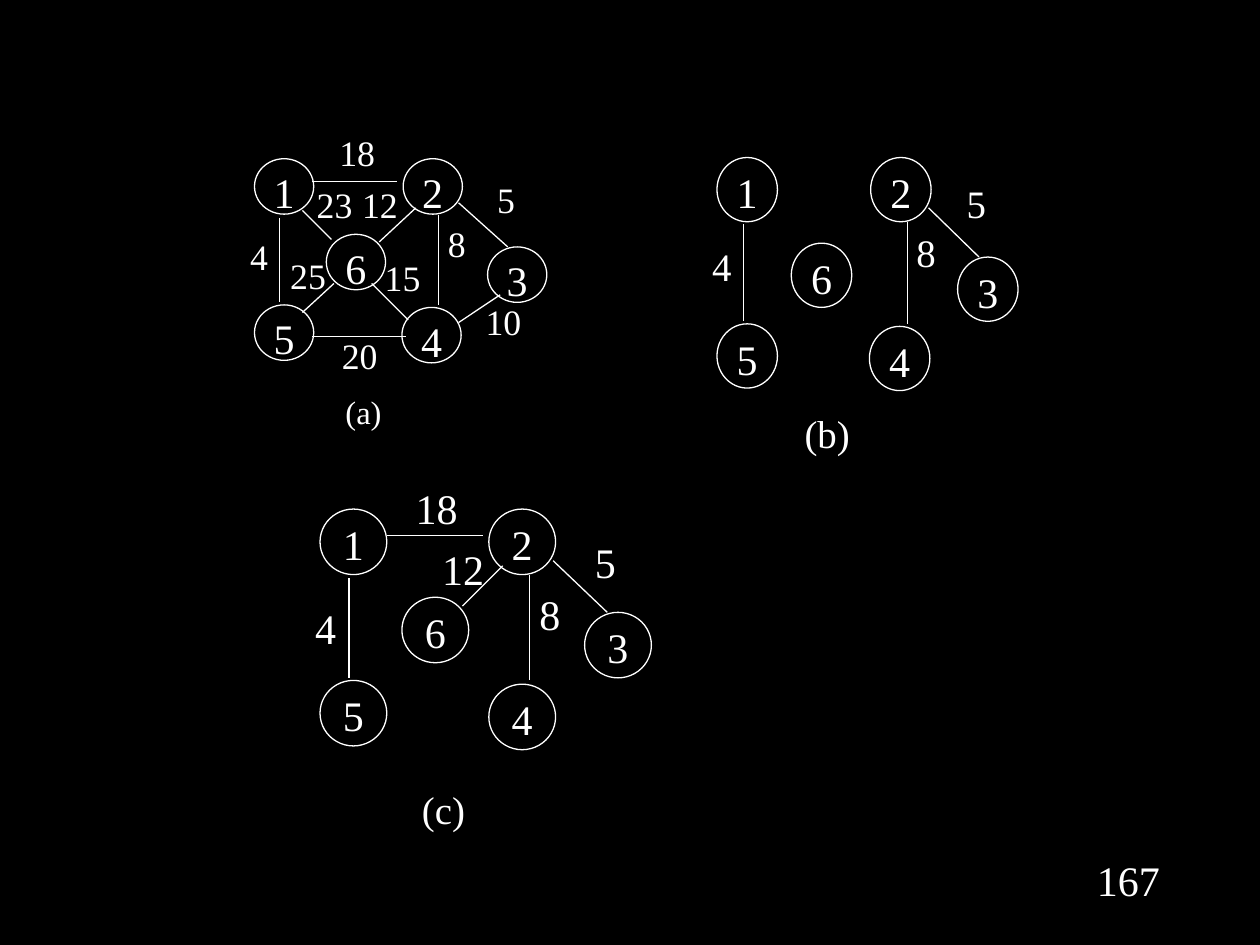
"""Build a slide with a weighted graph and two stages of its spanning tree."""
from lxml.etree import SubElement
from pptx import Presentation
from pptx.dml.color import RGBColor
from pptx.enum.shapes import MSO_CONNECTOR as Connector, MSO_SHAPE as Shape
from pptx.enum.text import MSO_ANCHOR as Anchor, PP_ALIGN as Align
from pptx.oxml.ns import qn
from pptx.util import Inches, Pt

WHITE, BLACK = "FFFFFF", "000000"
FONT = "Times New Roman"
NODE_SIZE = 24

GRAPHS = [
    {
        "node_box": (0.47, 0.44),
        "nodes": {"1": (2.02, 1.26), "2": (3.2, 1.26), "5": (2.02, 2.42),
                  "6": (2.59, 1.86), "4": (3.19, 2.44), "3": (3.87, 1.96)},
        "edges": [(2.48, 1.44, 3.15, 1.44), (2.48, 2.67, 3.22, 2.67),
                  (3.48, 1.71, 3.48, 2.42), (3.64, 1.61, 4.03, 1.96),
                  (3.64, 2.56, 3.97, 2.34), (2.22, 1.73, 2.22, 2.4),
                  (2.4, 1.67, 2.63, 1.9), (2.95, 2.25, 3.24, 2.54),
                  (2.65, 2.25, 2.4, 2.48), (3.01, 1.92, 3.3, 1.65)],
        "weight_box": (0.45, 0.35),
        "weight_format": {"size": 20.4, "spacing": 0.9},
        "weights": {"25": (2.22, 2.05), "20": (2.63, 2.69), "4": (1.83, 1.9),
                    "15": (2.97, 2.07), "10": (3.77, 2.42), "8": (3.4, 1.8),
                    "12": (2.79, 1.49), "23": (2.43, 1.49),
                    "5": (3.79, 1.45), "18": (2.61, 1.08)},
        "caption": ("(a)", (2.61, 3.17, 0.55, 0.33)),
        "caption_format": {"size": 18.6, "spacing": 0.8},
    },
    {
        "node_box": (0.48, 0.51),
        "nodes": {"1": (5.69, 1.25), "2": (6.91, 1.25), "5": (5.69, 2.57),
                  "6": (6.28, 1.93), "4": (6.9, 2.59), "3": (7.6, 2.04)},
        "edges": [(7.2, 1.76, 7.2, 2.57), (7.37, 1.65, 7.77, 2.04),
                  (5.9, 1.78, 5.9, 2.55)],
        "weight_box": (0.46, 0.4),
        "weight_format": {"size": 22.2, "spacing": 0.9},
        "weights": {"4": (5.5, 1.97), "8": (7.12, 1.86), "5": (7.52, 1.47)},
        "caption": ("(b)", (6.28, 3.29, 0.57, 0.37)),
        "caption_format": {"size": 22.2, "spacing": 0.9},
    },
    {
        "node_box": (0.53, 0.52),
        "nodes": {"1": (2.54, 4.04), "2": (3.88, 4.04), "5": (2.54, 5.4),
                  "6": (3.19, 4.74), "4": (3.88, 5.43), "3": (4.64, 4.86)},
        "edges": [(3.07, 4.25, 3.83, 4.25), (4.2, 4.56, 4.2, 5.4),
                  (4.39, 4.45, 4.82, 4.86), (2.77, 4.59, 2.77, 5.38),
                  (3.67, 4.81, 3.99, 4.49)],
        "weight_box": (0.51, 0.41),
        "weight_format": {"size": 24, "spacing": 1.0},
        "weights": {"4": (2.33, 4.78), "8": (4.11, 4.67), "12": (3.42, 4.31),
                    "5": (4.55, 4.26), "18": (3.21, 3.83)},
        "caption": ("(c)", (3.21, 6.28, 0.62, 0.39)),
        "caption_format": {"size": 22.2, "spacing": 0.9},
    },
]
PAGE_NUMBER = ("167", (8.58, 6.73, 0.75, 0.5))


def paint(color_format, color):
    color_format.rgb = RGBColor.from_string(color)


def inches(values):
    return [Inches(value) for value in values]


def write(shape, text, size, spacing=1.0, insets=(0, 0)):
    frame = shape.text_frame
    side, end = inches(insets)
    settings = {"word_wrap": True, "vertical_anchor": Anchor.TOP,
                "margin_left": side, "margin_right": side,
                "margin_top": end, "margin_bottom": end}
    for name, value in settings.items():
        setattr(frame, name, value)
    paragraph = frame.paragraphs[0]
    paragraph.alignment = Align.CENTER
    paragraph.line_spacing = spacing
    run = paragraph.add_run()
    run.text = text
    for name, value in {"name": FONT, "size": Pt(size)}.items():
        setattr(run.font, name, value)
    paint(run.font.color, WHITE)


def add_label(shapes, text, box, **text_format):
    write(shapes.add_textbox(*inches(box)), text, **text_format)


def outline(shape):
    shape.line.width = Pt(0.75)
    paint(shape.line.color, WHITE)


def add_node(shapes, text, box):
    node = shapes.add_shape(Shape.OVAL, *inches(box))
    node.shadow.inherit = False
    node.fill.background()
    outline(node)
    write(node, text, NODE_SIZE)


def add_edge(shapes, ends):
    edge = shapes.add_connector(Connector.STRAIGHT, *inches(ends))
    outline(edge)
    SubElement(edge._element.spPr, qn("a:effectLst"))


def add_graph(slide, graph):
    shapes = slide.shapes.add_group_shape().shapes
    for text, position in graph["weights"].items():
        add_label(shapes, text, position + graph["weight_box"], **graph["weight_format"])
    for text, position in graph["nodes"].items():
        add_node(shapes, text, position + graph["node_box"])
    for ends in graph["edges"]:
        add_edge(shapes, ends)
    add_label(shapes, *graph["caption"], **graph["caption_format"])


def main():
    presentation = Presentation()
    presentation.slide_width, presentation.slide_height = inches((10, 7.5))
    slide = presentation.slides.add_slide(presentation.slide_layouts[6])
    background = slide.background.fill
    background.solid()
    paint(background.fore_color, BLACK)
    add_label(slide.shapes, *PAGE_NUMBER, size=24, insets=(0.1, 0.05))
    for graph in GRAPHS:
        add_graph(slide, graph)
    presentation.save("out.pptx")


if __name__ == "__main__":
    main()
